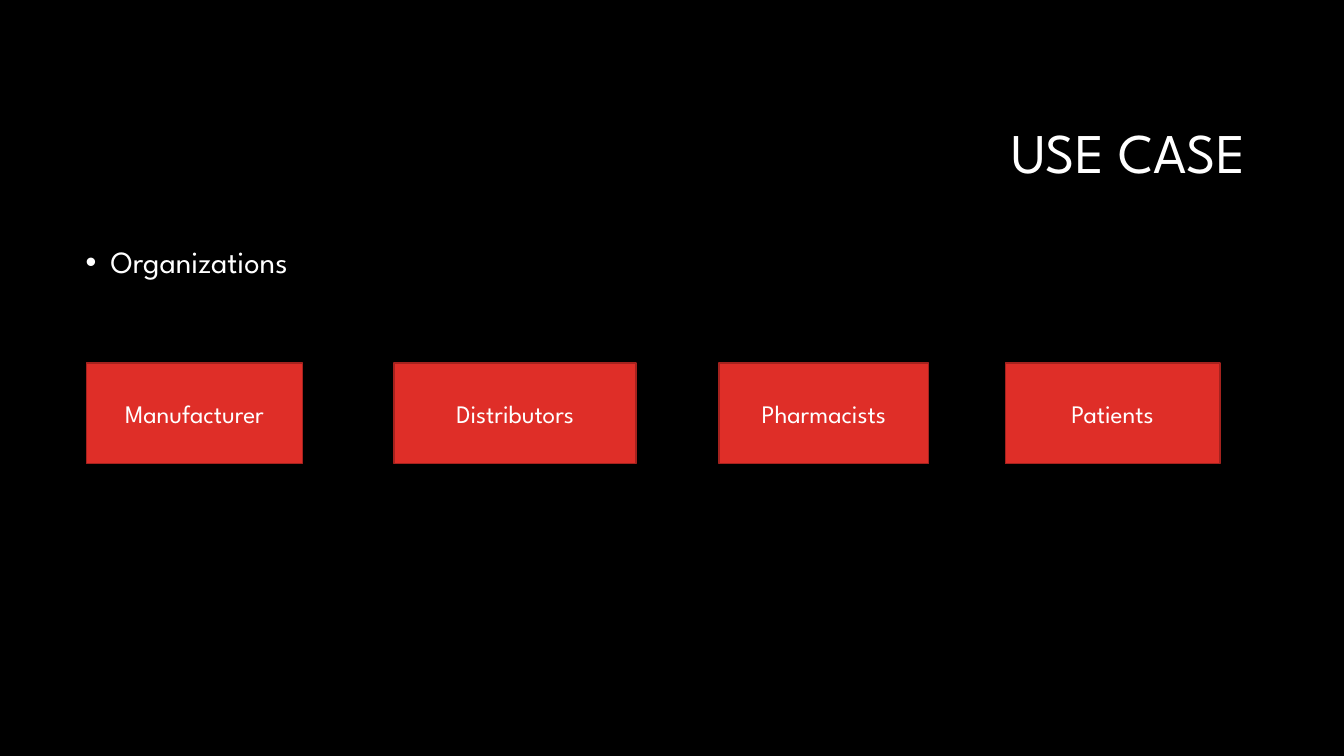
from dataclasses import dataclass

from lxml.etree import SubElement
from pptx import Presentation
from pptx.dml.color import RGBColor
from pptx.enum.shapes import MSO_SHAPE
from pptx.enum.text import MSO_ANCHOR, MSO_AUTO_SIZE, PP_ALIGN
from pptx.oxml.ns import qn
from pptx.util import Inches, Pt


@dataclass(frozen=True)
class Theme:
    font: str = "League Spartan"
    bullet_font: str = "Arial"
    background: str = "000000"
    text: str = "FFFFFF"
    box_fill: str = "DF2E28"
    box_line: str = "A5221E"
    title_size: int = 40
    body_size: int = 22
    box_size: int = 18


class SlideBuilder:
    def __init__(self, prs, theme):
        self.theme = theme
        self.slide = prs.slides.add_slide(prs.slide_layouts[5])
        fill = self.slide.background.fill
        fill.solid()
        fill.fore_color.rgb = RGBColor.from_string(theme.background)

    def add_text(self, p, text, size, align):
        p.alignment = align
        r = p.add_run()
        r.text = text
        r.font.name = self.theme.font
        r.font.size = Pt(size)
        r.font.color.rgb = RGBColor.from_string(self.theme.text)

    def title(self, text, left, top, width, height):
        s = self.slide.shapes.title
        s.left, s.top = Inches(left), Inches(top)
        s.width, s.height = Inches(width), Inches(height)
        tf = s.text_frame
        tf.auto_size = MSO_AUTO_SIZE.NONE
        tf.vertical_anchor = MSO_ANCHOR.MIDDLE
        p = tf.paragraphs[0]
        p.line_spacing = 0.9
        self.add_text(p, text, self.theme.title_size, PP_ALIGN.RIGHT)

    def bullet(self, text, left, top, width, height):
        s = self.slide.shapes.add_textbox(
            Inches(left), Inches(top), Inches(width), Inches(height))
        tf = s.text_frame
        tf.word_wrap = True
        p = tf.paragraphs[0]
        p.line_spacing = 0.9
        p.space_before = Pt(10)
        self.add_text(p, text, self.theme.body_size, PP_ALIGN.LEFT)
        props = p._p.get_or_add_pPr()
        props.set("marL", str(Inches(0.25)))
        props.set("indent", str(Inches(-0.25)))
        SubElement(props, qn("a:buFont"), typeface=self.theme.bullet_font)
        SubElement(props, qn("a:buChar"), char="•")

    def box(self, text, left, top, width, height):
        s = self.slide.shapes.add_shape(
            MSO_SHAPE.RECTANGLE,
            Inches(left), Inches(top), Inches(width), Inches(height))
        s.shadow.inherit = False
        s.fill.solid()
        s.fill.fore_color.rgb = RGBColor.from_string(self.theme.box_fill)
        s.line.color.rgb = RGBColor.from_string(self.theme.box_line)
        s.line.width = Pt(1)
        tf = s.text_frame
        tf.vertical_anchor = MSO_ANCHOR.MIDDLE
        self.add_text(tf.paragraphs[0], text, self.theme.box_size, PP_ALIGN.CENTER)


def main():
    prs = Presentation()
    prs.slide_width, prs.slide_height = Inches(13.33), Inches(7.5)
    builder = SlideBuilder(prs, Theme())
    builder.title("USE CASE ", 3.17, 0.84, 9.42, 1.41)

    organizations = [
        ("Manufacturer", 0.86, 2.14),
        ("Distributors", 3.91, 2.4),
        ("Pharmacists", 7.13, 2.08),
        ("Patients", 9.97, 2.13),
    ]
    for name, left, width in organizations:
        builder.box(name, left, 3.6, width, 1)

    builder.bullet("Organizations", 0.75, 2.4, 11.83, 4.4)
    prs.save("out.pptx")


if __name__ == "__main__":
    main()
